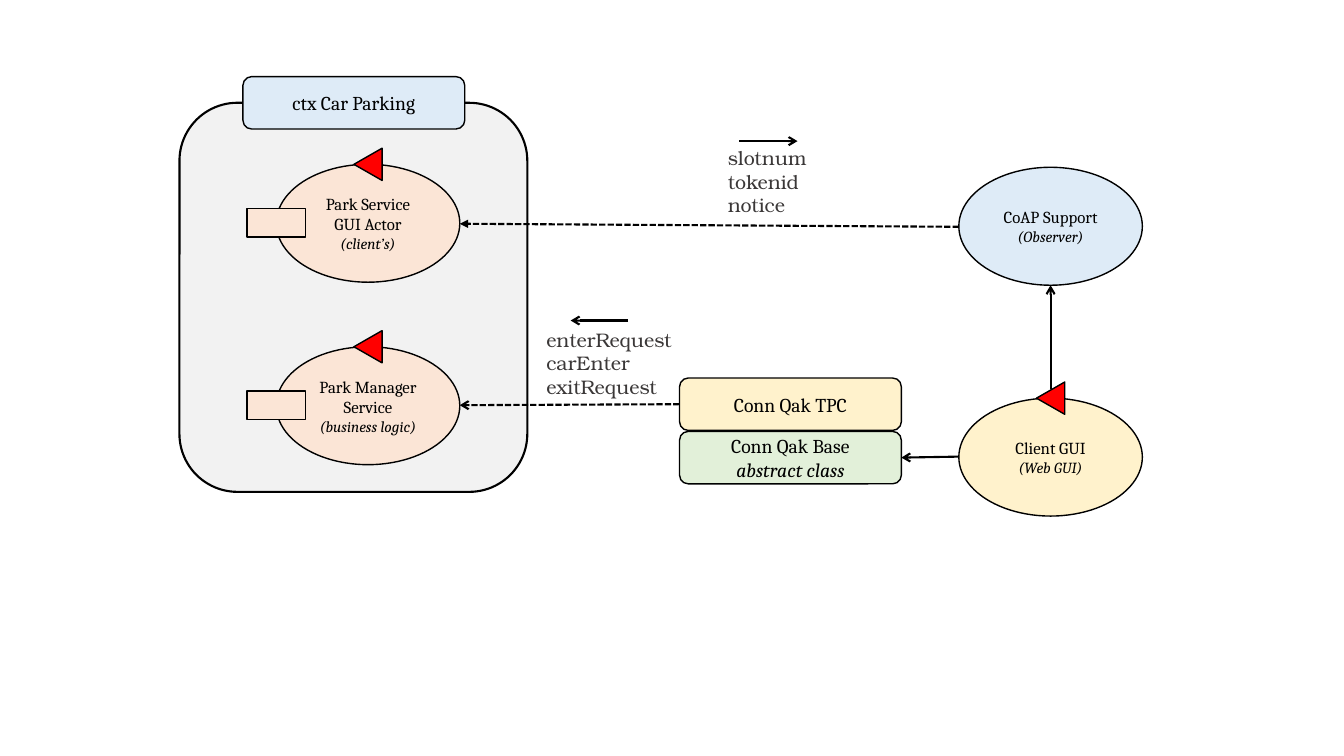
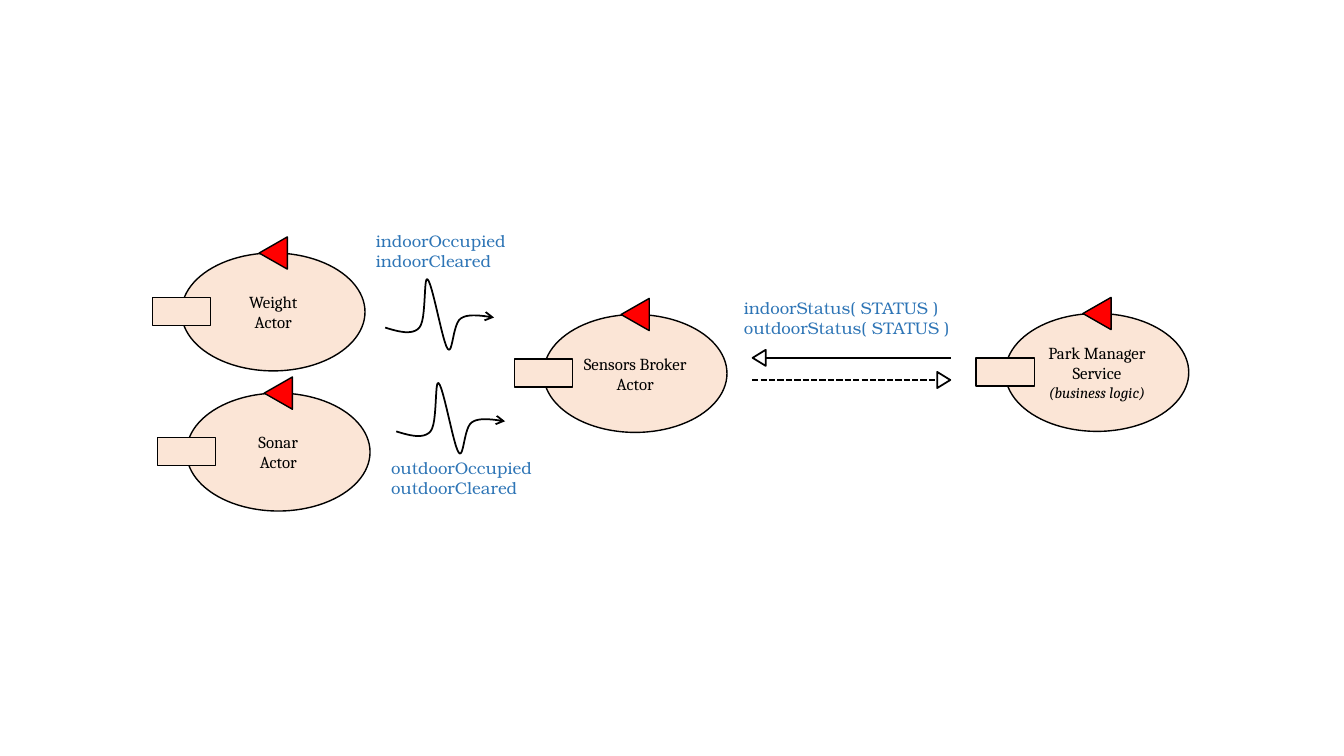
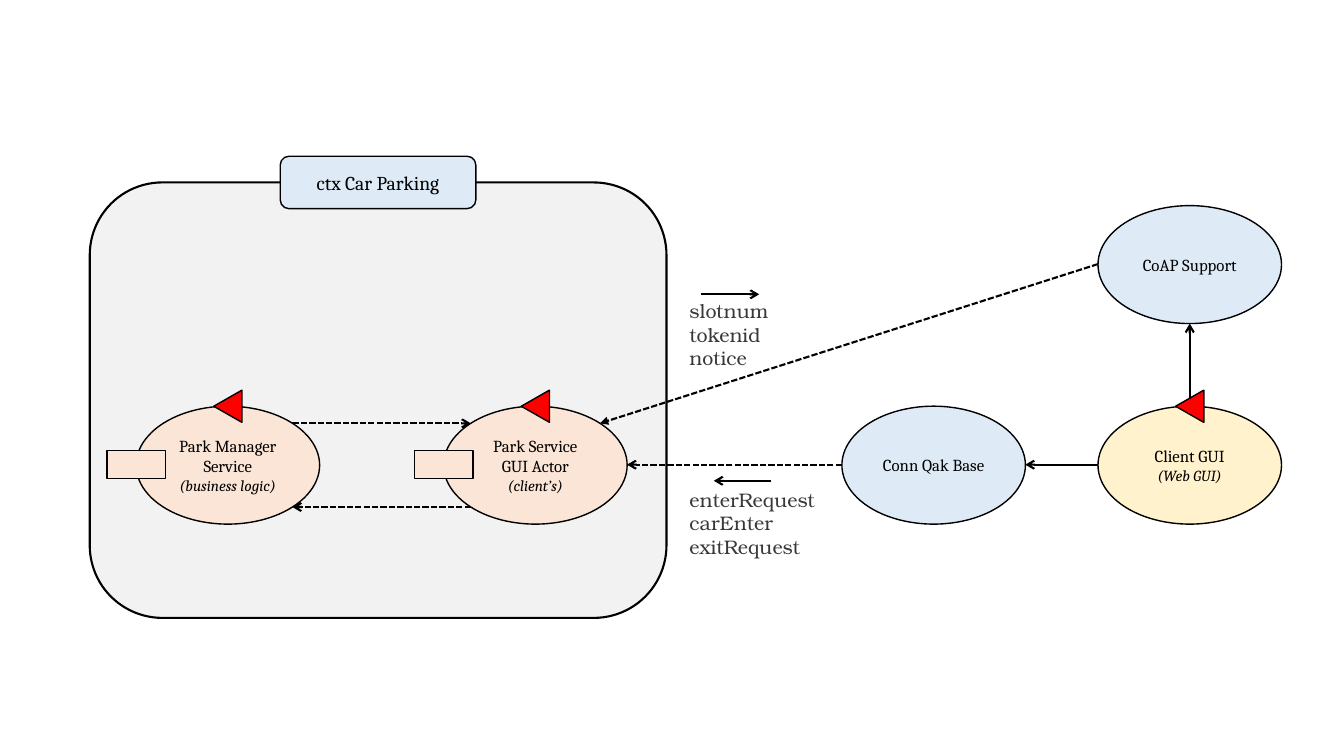
from pptx import Presentation
from pptx.dml.color import RGBColor
from pptx.enum.dml import MSO_LINE
from pptx.enum.shapes import MSO_CONNECTOR, MSO_SHAPE
from pptx.enum.text import MSO_ANCHOR, MSO_AUTO_SIZE, PP_ALIGN
from pptx.oxml.ns import qn
from pptx.util import Inches, Pt
from lxml.etree import SubElement

COLS, ROWS = 133.3, 75
INK = {
    "black": "000000", "white": "FFFFFF", "red": "FF0000",
    "gray": "F2F2F2", "peach": "FBE5D6", "sky": "DEEBF7",
    "cream": "FFF2CC", "mint": "E2F0D9", "slate": "3B3838", "blue": "2E75B6",
}
SANS, SERIF = "Cambria", "TeX Gyre Bonum"
OVAL_W, OVAL_H = 18.2, 11.7
BOX_H = 5.2

# Signal curve: start, then three control points per Bezier piece
PULSE = [(0, 4.8), (1.3, 5.2), (2.7, 5.6), (3.4, 4.8),
         (4.1, 4), (3.8, -0.3), (4.2, 0), (4.7, 0.4), (5.7, 6.3), (6.2, 6.9),
         (6.7, 7.6), (6.7, 4.4), (7.5, 3.9), (8.2, 3.4), (9.5, 3.6), (10.8, 3.8)]


def curve(points, steps=12):
    """Yield points along a chain of cubic Bezier pieces."""
    for i in range(0, len(points) - 1, 3):
        piece = points[i:i + 4]
        for n in range(1, steps + 1):
            t = n / steps
            mix = ((1 - t) ** 3, 3 * t * (1 - t) ** 2, 3 * t * t * (1 - t), t ** 3)
            yield tuple(sum(m * p[axis] for m, p in zip(mix, piece))
                        for axis in (0, 1))


class Board:
    def __init__(self):
        self.deck = Presentation()
        self.deck.slide_width = Inches(13.33)
        self.deck.slide_height = Inches(7.5)

    def page(self):
        self.slide = self.deck.slides.add_slide(self.deck.slide_layouts[6])

    def grid(self, x, y):
        return (round(x * self.deck.slide_width / COLS),
                round(y * self.deck.slide_height / ROWS))

    def color(self, name):
        return RGBColor.from_string(INK[name])

    def stroke(self, item, width, tip=None, dash=False):
        item.line.color.rgb = self.color("black")
        item.line.width = Pt(width)
        if dash:
            item.line.dash_style = MSO_LINE.SQUARE_DOT
        if tip:
            SubElement(item.element.spPr.find(qn("a:ln")), qn("a:tailEnd"), type=tip)

    def words(self, item, lines, size, font, tint, align, note=""):
        """Set one paragraph per line; the note is italic."""
        frame = item.text_frame
        rows = [(line, size, None) for line in lines]
        if note:
            rows.append((note, 11 if size == 12 else size, True))
        for i, (text, points, slant) in enumerate(rows):
            para = frame.add_paragraph() if i else frame.paragraphs[0]
            para.alignment = align
            run = para.add_run()
            run.text = text
            run.font.name, run.font.size = font, Pt(points)
            run.font.italic = slant
            run.font.color.rgb = self.color(tint)

    def shape(self, kind, x, y, w, h, fill, width=1, host=None):
        item = (host or self.slide).shapes.add_shape(
            kind, *self.grid(x, y), *self.grid(w, h))
        item.shadow.inherit = False
        item.fill.solid()
        item.fill.fore_color.rgb = self.color(fill)
        self.stroke(item, width)
        return item

    def label(self, item, lines, size, note=""):
        item.text_frame.word_wrap = True
        item.text_frame.vertical_anchor = MSO_ANCHOR.MIDDLE
        self.words(item, lines, size, SANS, "black", PP_ALIGN.CENTER, note)

    def frame(self, x, y, w, h):
        self.shape(MSO_SHAPE.ROUNDED_RECTANGLE, x, y, w, h, "gray", 1.5)

    def box(self, x, y, w, fill, text, note=""):
        item = self.shape(MSO_SHAPE.ROUNDED_RECTANGLE, x, y, w, BOX_H, fill)
        self.label(item, [text], 14, note)

    def oval(self, x, y, fill, lines, note="", host=None):
        item = self.shape(MSO_SHAPE.OVAL, x, y, OVAL_W, OVAL_H, fill, host=host)
        self.label(item, lines, 12, note)

    def wedge(self, x, y, w, h, fill, turn, width=1, host=None):
        """Triangle centred on x, y; turn 270 points left, 90 right."""
        item = self.shape(MSO_SHAPE.ISOSCELES_TRIANGLE, x - w / 2, y - h / 2,
                          w, h, fill, width, host)
        item.rotation = turn

    def actor(self, x, y, lines, note="", fill="peach", port=True):
        """Oval with a red flag on top and, if wanted, a port on its left."""
        host = self.slide.shapes.add_group_shape()
        self.oval(x, y, fill, lines, note, host)
        self.wedge(x + OVAL_W / 2, y, 3.2, 2.8, "red", 270, host=host)
        if port:
            self.shape(MSO_SHAPE.RECTANGLE, x - 2.9, y + 4.4, 5.8, 2.8, fill, host=host)

    def line(self, x1, y1, x2, y2, tip="arrow", dash=False):
        item = self.slide.shapes.add_connector(
            MSO_CONNECTOR.STRAIGHT, *self.grid(x1, y1), *self.grid(x2, y2))
        self.stroke(item, 1.5, tip, dash)
        SubElement(item.element.spPr, qn("a:effectLst"))

    def pulse(self, x, y):
        points = [self.grid(x + a, y + b) for a, b in PULSE]
        pen = self.slide.shapes.build_freeform(*points[0])
        pen.add_line_segments(list(curve(points)), close=False)
        item = pen.convert_to_shape()
        item.shadow.inherit = False
        item.fill.background()
        self.stroke(item, 1.25, "arrow")

    def text(self, x, y, w, h, lines, size=12, tint="blue"):
        item = self.slide.shapes.add_textbox(*self.grid(x, y), *self.grid(w, h))
        item.text_frame.word_wrap = False
        item.text_frame.auto_size = MSO_AUTO_SIZE.SHAPE_TO_FIT_TEXT
        self.words(item, lines, size, SERIF, tint, PP_ALIGN.LEFT)

    # Parts that recur on several slides
    def events(self, x, y):
        self.text(x, y, 10, 8.1, ["slotnum", "tokenid", "notice"], 14, "slate")
        self.line(x + 2.1, y, x + 7.9, y)

    def orders(self, x, y):
        self.text(x, y, 14.7, 8.1, ["enterRequest", "carEnter", "exitRequest"],
                  14, "slate")
        self.line(x + 9.1, y - 0.2, x + 3.4, y - 0.2)

    def manager(self, x, y):
        self.actor(x, y, ["Park Manager Service"], "(business logic)")

    def service(self, x, y):
        self.actor(x, y, ["Park Service GUI Actor"], "(client’s)")

    def client(self, x, y):
        self.actor(x, y, ["Client GUI"], "(Web GUI)", "cream", port=False)


board = Board()

# Slide 1: client linked to both actors
board.page()
board.frame(17.8, 10.2, 34.5, 38.6)
board.manager(27.4, 34.4)
board.service(27.4, 16.3)
board.box(24.1, 7.6, 22, "sky", "ctx Car Parking")
board.client(95.1, 39.5)
board.oval(95.1, 16.6, "sky", ["CoAP Support"], "(Observer)")
board.line(95.1, 22.5, 45.6, 22.2, "triangle", dash=True)
board.line(104.2, 38.6, 104.2, 28.3)
board.box(67.4, 37.5, 22, "cream", "Conn Qak TPC")
board.box(67.4, 42.8, 22, "mint", "Conn Qak Base", "abstract class")
board.line(95.1, 45.3, 89.4, 45.4)
board.line(67.4, 40.1, 45.6, 40.2, dash=True)
board.orders(53.2, 32)
board.events(71.2, 14)

# Slide 2: sensors feed the broker
board.page()
board.actor(18.5, 39, ["Sonar", "Actor"])
board.actor(18, 25.1, ["Weight", "Actor"])
board.actor(53.9, 31.2, ["Sensors Broker Actor"])
board.pulse(38.2, 27.7)
board.pulse(39.3, 38)
board.text(36.3, 22.4, 15, 5, ["indoorOccupied", "indoorCleared"])
board.text(37.8, 44.9, 16.1, 5, ["outdoorOccupied", "outdoorCleared"])
board.manager(99.7, 31.1)
board.text(72.8, 29, 22.7, 5, ["indoorStatus( STATUS )", "outdoorStatus( STATUS )"])

# Request and reply with hollow heads
board.line(94.3, 35.5, 75.9, 35.5, None)
board.wedge(75.3, 35.5, 1.6, 1.3, "white", 270, 1.25)
board.line(74.6, 37.7, 92.9, 37.7, None, dash=True)
board.wedge(93.6, 37.7, 1.6, 1.3, "white", 90, 1.25)

# Slide 3: client linked through the service actor
board.page()
board.frame(8.9, 18.1, 57.2, 43.2)
board.box(27.8, 15.5, 19.4, "sky", "ctx Car Parking")
board.client(108.9, 40.3)
board.oval(108.9, 20.4, "sky", ["CoAP Support"])
board.line(118, 39.5, 118, 32.1)
board.line(108.9, 46.1, 101.7, 46.1)
board.line(83.5, 46.1, 62.2, 46.1, dash=True)
board.oval(83.5, 40.3, "sky", ["Conn Qak Base"])
board.line(108.9, 26.2, 59.5, 42, "triangle", dash=True)
board.service(44, 40.3)
board.orders(67.4, 47.9)
board.events(67.4, 29.2)
board.manager(13.5, 40.3)
board.line(46.7, 50.3, 29, 50.3, dash=True)
board.line(29, 42, 46.7, 42, dash=True)

board.deck.save("out.pptx")
